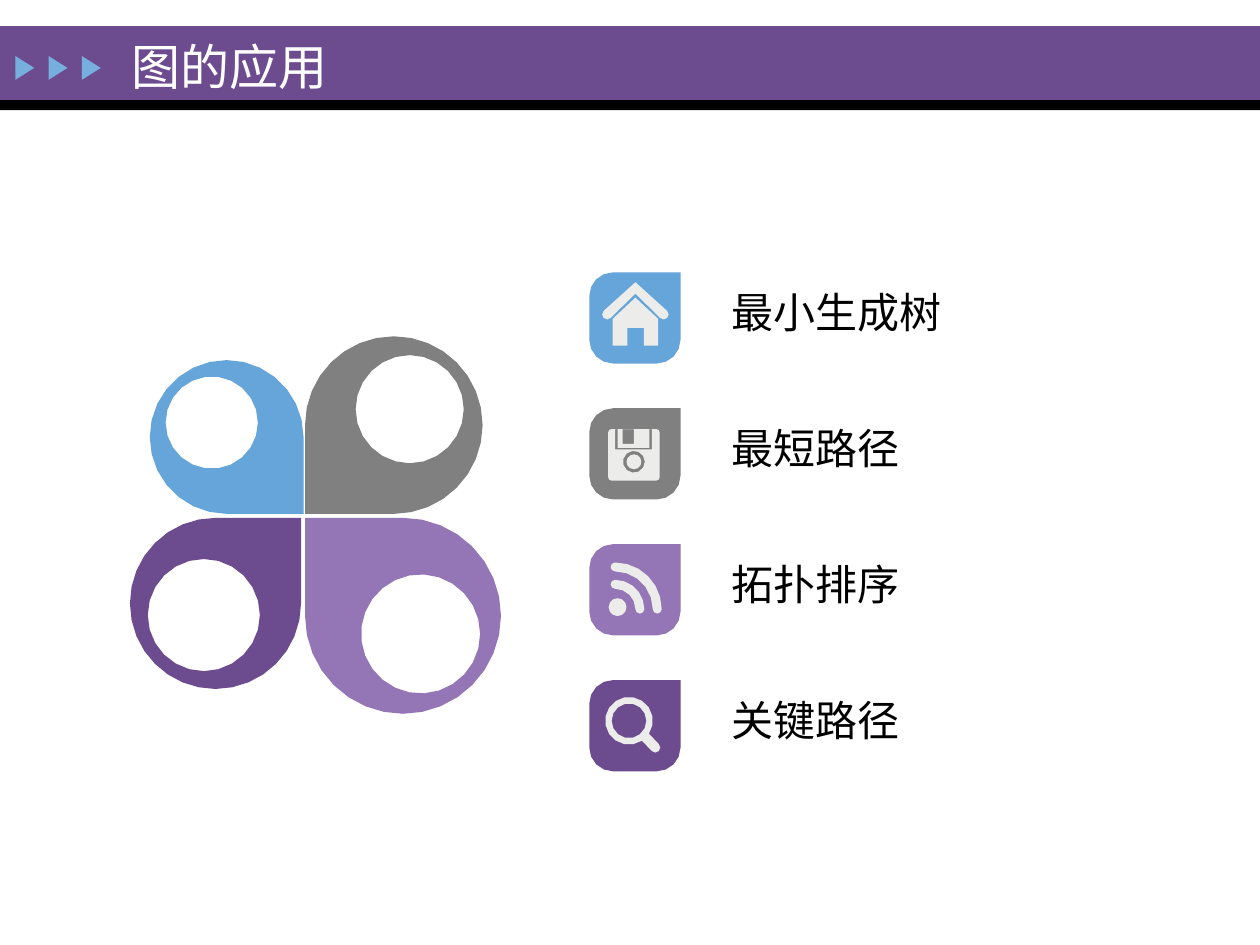
from dataclasses import dataclass
from math import acos, ceil, cos, degrees, radians, sin

from pptx import Presentation
from pptx.dml.color import RGBColor
from pptx.enum.shapes import MSO_SHAPE
from pptx.enum.text import MSO_ANCHOR, MSO_AUTO_SIZE, PP_ALIGN
from pptx.util import Cm, Pt

RECT, TRIANGLE, OVAL = MSO_SHAPE.RECTANGLE, MSO_SHAPE.ISOSCELES_TRIANGLE, MSO_SHAPE.OVAL
TOP, MIDDLE = MSO_ANCHOR.TOP, MSO_ANCHOR.MIDDLE
NO_FIT, GROW = MSO_AUTO_SIZE.NONE, MSO_AUTO_SIZE.SHAPE_TO_FIT_TEXT
LEFT = PP_ALIGN.LEFT


@dataclass(frozen=True)
class Theme:
    purple: str = "6C4C8F"
    lilac: str = "9476B6"
    blue: str = "65A5D9"
    arrow: str = "76AEDD"
    gray: str = "808080"
    icon: str = "ECECEB"
    black: str = "000000"
    white: str = "FFFFFF"
    font: str = "Calibri"
    title: int = 28
    label: int = 24


T = Theme()
TILE_X, TILE_Y, TILE_STEP, TILE_SIZE, TILE_RADIUS = 11.88, 5.49, 2.74, 1.84, 0.48
LABEL_X, LABEL_DROP = 14.5, 0.17
ARC_TOLERANCE = 0.01


def paint(sp, color):
    sp.shadow.inherit = False
    sp.fill.solid()
    sp.fill.fore_color.rgb = RGBColor.from_string(color)
    sp.line.fill.background()
    return sp


def add_preset(s, kind, x, y, w, h, color):
    return paint(s.shapes.add_shape(kind, Cm(x), Cm(y), Cm(w), Cm(h)), color)


def add_dot(s, cx, cy, r, color):
    return add_preset(s, OVAL, cx - r, cy - r, 2 * r, 2 * r, color)


def add_outline(s, color, *contours, x=0, y=0):
    rings = [[(Cm(x + px), Cm(y + py)) for px, py in ring] for ring in contours]
    fb = s.shapes.build_freeform(*rings[0][0])
    fb.add_line_segments(rings[0][1:])
    for ring in rings[1:]:
        fb.move_to(*ring[0])
        fb.add_line_segments(ring[1:])
    return paint(fb.convert_to_shape(), color)


def arc(cx, cy, r, start=0, end=360):
    step = 2 * degrees(acos(1 - ARC_TOLERANCE / r))
    n = ceil(abs(end - start) / step)
    angles = [radians(start + (end - start) * i / n) for i in range(n + 1)]
    return [(cx + r * cos(a), cy + r * sin(a)) for a in angles]


def box(x, y, w, h):
    return [(x, y), (x + w, y), (x + w, y + h), (x, y + h)]


def rounded_square(x, y, size, r, sharp=None):
    points = []
    for i, (name, (cx, cy)) in enumerate(zip(("tl", "tr", "br", "bl"), box(x, y, size, size))):
        if name == sharp:
            points.append((cx, cy))
        else:
            dx = r if name.endswith("l") else -r
            dy = r if name.startswith("t") else -r
            points += arc(cx + dx, cy + dy, r, 180 + 90 * i, 270 + 90 * i)
    return points


def wave(cx, cy, r, half):
    return (arc(cx, cy, r + half, -90, 0) + arc(cx + r, cy, half, 0, 180)
            + arc(cx, cy, r - half, 0, -90) + arc(cx, cy - r, half, 90, 270))


def write_text(sp, text, size, color, anchor=TOP, fit=NO_FIT):
    tf = sp.text_frame
    tf.word_wrap = True
    tf.auto_size = fit
    tf.vertical_anchor = anchor
    p = tf.paragraphs[0]
    p.alignment = LEFT
    r = p.add_run()
    r.text = text
    r.font.name = T.font
    r.font.size = Pt(size)
    r.font.color.rgb = RGBColor.from_string(color)


def add_header(s, text):
    add_preset(s, RECT, 0, 0.53, 25.4, 1.5, T.purple)
    add_preset(s, RECT, 0, 2.02, 25.4, 0.2, T.black)
    for i in range(3):
        add_preset(s, TRIANGLE, 0.26 + 0.67 * i, 1.18, 0.48, 0.38, T.arrow).rotation = 90
    sp = s.shapes.title
    sp.left, sp.top, sp.width, sp.height = Cm(2.4), Cm(0.38), Cm(17.1), Cm(1.9)
    write_text(sp, text, T.title, T.white, anchor=MIDDLE)
    sp.element.getparent().append(sp.element)


def add_petal(s, color, x, y, size, sharp, hole):
    add_outline(s, color, arc(*hole), rounded_square(x, y, size, size / 2, sharp))


def draw_house(s, x, y):
    roof = ([(0.93, 0.2)] + arc(1.5, 0.85, 0.1, -45, 135)
            + [(0.93, 0.43)] + arc(0.36, 0.85, 0.1, 45, 225))
    walls = [(0.47, 0.94), (0.93, 0.51), (1.39, 0.94), (1.39, 1.48), (1.1, 1.48),
             (1.1, 1.12), (0.77, 1.12), (0.77, 1.48), (0.47, 1.48)]
    add_outline(s, T.icon, roof, x=x, y=y)
    add_outline(s, T.icon, walls, x=x, y=y)


def draw_disk(s, x, y):
    add_outline(s, T.icon, box(0.57, 0.42, 0.64, 0.38), box(0.67, 0.42, 0.23, 0.3), x=x, y=y)
    add_outline(s, T.icon, rounded_square(0.38, 0.42, 1.04, 0.07),
                box(0.52, 0.42, 0.74, 0.41), arc(0.9, 1.08, 0.22), x=x, y=y)
    add_dot(s, x + 0.9, y + 1.08, 0.15, T.icon)


def draw_feed(s, x, y):
    add_dot(s, x + 0.57, y + 1.27, 0.18, T.icon)
    for r in (0.5, 0.85):
        add_outline(s, T.icon, wave(0.52, 1.31, r, 0.09), x=x, y=y)


def draw_magnifier(s, x, y):
    rim = arc(0.8, 0.82, 0.48, 57, 393) + arc(1.33, 1.36, 0.1, -45, 135)
    add_outline(s, T.icon, rim, arc(0.8, 0.82, 0.35), x=x, y=y)


def add_topic(s, i, text, color, draw_icon):
    y = TILE_Y + TILE_STEP * i
    add_outline(s, color, rounded_square(TILE_X, y, TILE_SIZE, TILE_RADIUS, "tr"))
    draw_icon(s, TILE_X, y)
    sp = s.shapes.add_textbox(Cm(LABEL_X), Cm(y + LABEL_DROP), Cm(7), Cm(1.3))
    write_text(sp, text, T.label, T.black, fit=GROW)


def main():
    prs = Presentation()
    prs.slide_width, prs.slide_height = Cm(25.4), Cm(19.05)
    s = prs.slides.add_slide(prs.slide_layouts[5])
    add_header(s, "图的应用")
    petals = [
        (T.blue, 3.02, 7.26, 3.1, "br", (4.27, 8.52, 0.93)),
        (T.purple, 2.62, 10.44, 3.45, "tr", (4.11, 12.4, 1.13)),
        (T.gray, 6.15, 6.78, 3.58, "bl", (8.26, 8.25, 1.09)),
        (T.lilac, 6.15, 10.44, 3.95, "tl", (8.48, 12.78, 1.2)),
    ]
    for petal in petals:
        add_petal(s, *petal)
    topics = [
        ("最小生成树", T.blue, draw_house),
        ("最短路径", T.gray, draw_disk),
        ("拓扑排序", T.lilac, draw_feed),
        ("关键路径", T.purple, draw_magnifier),
    ]
    for i, topic in enumerate(topics):
        add_topic(s, i, *topic)
    prs.save("out.pptx")


if __name__ == "__main__":
    main()
